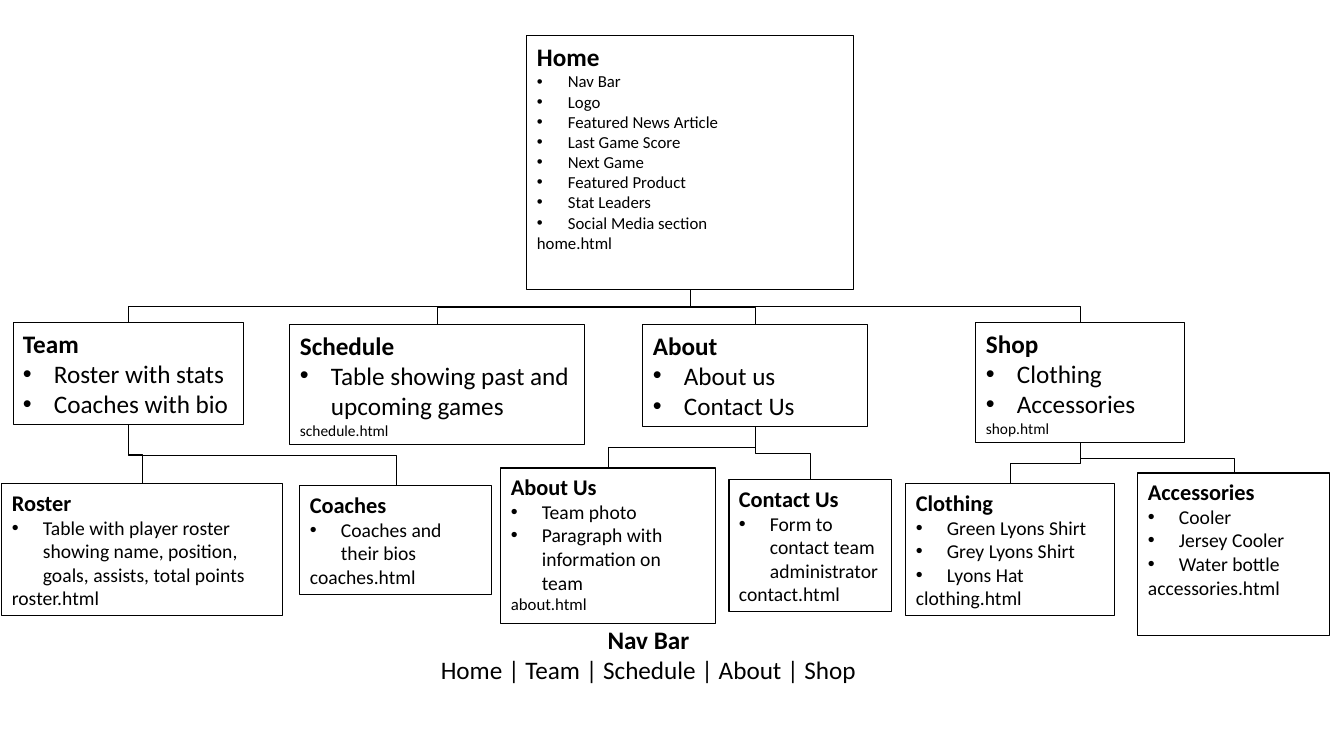
from lxml import etree
from pptx import Presentation
from pptx.dml.color import RGBColor
from pptx.enum.shapes import MSO_CONNECTOR, MSO_SHAPE
from pptx.enum.text import MSO_ANCHOR, PP_ALIGN
from pptx.oxml.ns import qn
from pptx.util import Pt

RECTANGLE = MSO_SHAPE.RECTANGLE
ELBOW = MSO_CONNECTOR.ELBOW
TOP = MSO_ANCHOR.TOP
LEFT, CENTER = PP_ALIGN.LEFT, PP_ALIGN.CENTER

SLIDE_SIZE = (1344, 756)
EMU_PER_PX = 12192000 / 1344
FONT = "Calibri"
COLORS = {"ink": "000000"}
BULLET_INDENT = 31
TOP_SITE, BOTTOM_SITE = 0, 2

# key: (parent, box, (heading, bullet, file) sizes, heading, bullets, file)
PAGES = {
    "home": (None, (527, 36, 327, 254), (18, 12, 12), "Home",
             ["Nav Bar", "Logo", "Featured News Article", "Last Game Score",
              "Next Game", "Featured Product", "Stat Leaders",
              "Social Media section"], "home.html"),
    "schedule": ("home", (290, 325, 295, 120), (18, 18, 11), "Schedule",
                 ["Table showing past and upcoming games"], "schedule.html"),
    "about": ("home", (643, 325, 225, 102), (18, 18, 11), "About",
              ["About us", "Contact Us"], None),
    "team": ("home", (13, 323, 231, 102), (18, 18, 11), "Team",
             ["Roster with stats", "Coaches with bio"], None),
    "shop": ("home", (976, 323, 209, 120), (18, 18, 11), "Shop",
             ["Clothing", "Accessories"], "shop.html"),
    "about us": ("about", (501, 468, 215, 156), (16, 14, 12), "About Us",
                 ["Team photo", "Paragraph with information on team"],
                 "about.html"),
    "contact us": ("about", (729, 480, 163, 132), (16, 14, 14), "Contact Us",
                   ["Form to contact team administrator"], "contact.html"),
    "clothing": ("shop", (906, 484, 209, 132), (16, 14, 14), "Clothing",
                 ["Green Lyons Shirt", "Grey Lyons Shirt", "Lyons Hat"],
                 "clothing.html"),
    "accessories": ("shop", (1138, 473, 192, 163), (16, 14, 14), "Accessories",
                    ["Cooler", "Jersey Cooler", "Water bottle"],
                    "accessories.html"),
    "roster": ("team", (2, 484, 281, 132), (16, 14, 14), "Roster",
               ["Table with player roster showing name, position, goals, "
                "assists, total points"], "roster.html"),
    "coaches": ("team", (300, 486, 192, 109), (16, 14, 14), "Coaches",
                ["Coaches and their bios"], "coaches.html"),
}
NAV_BOX = (93, 619, 1111, 72)
NAV_HEADING = "Nav Bar"
NAV_ITEMS = ["Home", "Team", "Schedule", "About", "Shop"]


def px(length):
    return round(length * EMU_PER_PX)


def color(name):
    return RGBColor.from_string(COLORS[name])


def add_bullet(paragraph):
    props = paragraph._p.get_or_add_pPr()
    props.set("marL", str(px(BULLET_INDENT)))
    props.set("indent", str(-px(BULLET_INDENT)))
    etree.SubElement(props, qn("a:buFont")).set("typeface", "Arial")
    etree.SubElement(props, qn("a:buChar")).set("char", "•")


def write(frame, lines, align):
    """Fill the frame with (text, size, bold, bulleted) lines."""
    frame.word_wrap = True
    frame.vertical_anchor = TOP
    frame.text = "\n".join(line[0] for line in lines)
    for paragraph, (_, size, bold, bulleted) in zip(frame.paragraphs, lines):
        paragraph.alignment = align
        if bulleted:
            add_bullet(paragraph)
        font = paragraph.runs[0].font
        font.name, font.size, font.bold = FONT, Pt(size), bold
        font.color.rgb = color("ink")


def add_page(slide, box, sizes, heading, bullets, file_name):
    page = slide.shapes.add_shape(RECTANGLE, *map(px, box))
    page.shadow.inherit = False
    page.fill.background()
    page.line.color.rgb = color("ink")
    page.line.width = Pt(0.75)
    heading_size, bullet_size, file_size = sizes
    lines = [(heading, heading_size, True, False)]
    lines += [(bullet, bullet_size, False, True) for bullet in bullets]
    if file_name:
        lines.append((file_name, file_size, False, False))
    write(page.text_frame, lines, LEFT)
    return page


def add_branch(slide, parent, child):
    """Join parent's bottom to child's top by an elbow, turned to run downwards."""
    start_x, start_y = parent.left + parent.width // 2, parent.top + parent.height
    end_x, end_y = child.left + child.width // 2, child.top
    branch = slide.shapes.add_connector(ELBOW, start_x, start_y, end_x, end_y)
    branch.begin_connect(parent, BOTTOM_SITE)
    branch.end_connect(child, TOP_SITE)
    drop, shift = end_y - start_y, end_x - start_x
    branch.width, branch.height = drop, abs(shift)
    branch.left = (start_x + end_x - drop) // 2
    branch.top = (start_y + end_y - abs(shift)) // 2
    transform = branch._element.spPr.find(qn("a:xfrm"))
    transform.set("rot", "16200000" if shift > 0 else "5400000")
    transform.set("flipH", "1" if shift > 0 else "0")
    transform.set("flipV", "0")
    branch.line.color.rgb = color("ink")
    branch.line.width = Pt(0.5)
    etree.SubElement(branch._element.spPr, qn("a:effectLst"))


def main():
    deck = Presentation()
    deck.slide_width, deck.slide_height = map(px, SLIDE_SIZE)
    slide = deck.slides.add_slide(deck.slide_layouts.get_by_name("Blank"))

    pages = {key: add_page(slide, *details)
             for key, (_, *details) in PAGES.items()}
    nav_bar = slide.shapes.add_textbox(*map(px, NAV_BOX))
    write(nav_bar.text_frame, [(NAV_HEADING, 18, True, False),
                               (" | ".join(NAV_ITEMS), 18, False, False)], CENTER)
    for key, (parent, *_) in PAGES.items():
        if parent:
            add_branch(slide, pages[parent], pages[key])

    deck.save("out.pptx")


if __name__ == "__main__":
    main()
